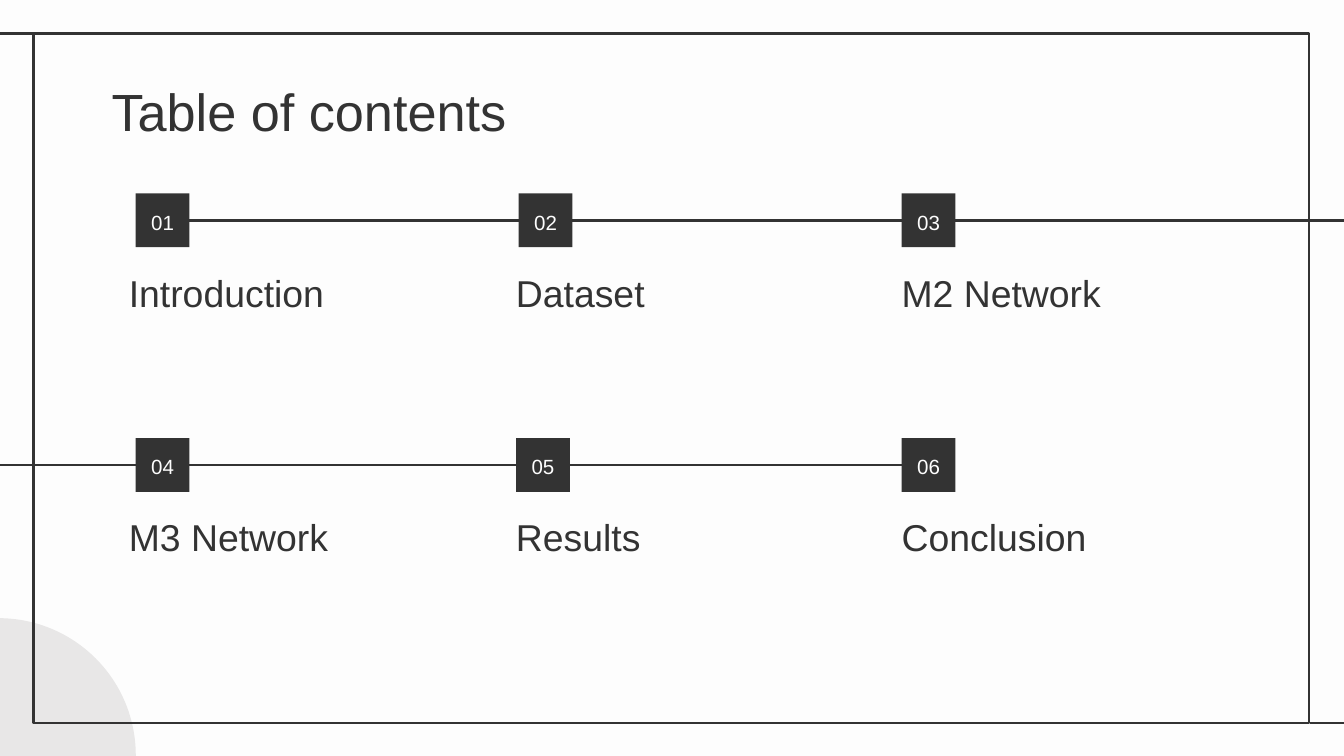
"""Build a table of contents slide with two rows of numbered sections."""
from lxml import etree
from pptx import Presentation
from pptx.dml.color import RGBColor
from pptx.enum.shapes import MSO_CONNECTOR, MSO_SHAPE
from pptx.enum.text import MSO_ANCHOR, MSO_AUTO_SIZE, PP_ALIGN
from pptx.oxml.ns import qn
from pptx.util import Inches, Pt

INK = RGBColor(0x33, 0x33, 0x33)
PAPER = RGBColor(0xFD, 0xFD, 0xFD)
MIST = RGBColor(0xE8, 0xE7, 0xE7)
RECTANGLE, OVAL = MSO_SHAPE.RECTANGLE, MSO_SHAPE.OVAL
STRAIGHT = MSO_CONNECTOR.STRAIGHT
LEFT, CENTER = PP_ALIGN.LEFT, PP_ALIGN.CENTER
TOP, MIDDLE, BOTTOM = MSO_ANCHOR.TOP, MSO_ANCHOR.MIDDLE, MSO_ANCHOR.BOTTOM
NO_AUTOFIT = MSO_AUTO_SIZE.NONE
LEFT_SIDE, RIGHT_SIDE = 1, 3
BADGE_SIZE = 0.4
LABEL_LEFTS = (0.86, 3.74, 6.61)
LABEL_HEIGHT, LABEL_DROP = 0.42, 0.58
SECTION_ROWS = (
    {"top": 1.44, "first": 1, "lefts": (1.01, 3.86, 6.71), "anchor": 0,
     "side": RIGHT_SIDE, "line_end": 10.17, "widths": (2.52, 2.52, 2.94),
     "names": ("Introduction", "Dataset", "M2 Network")},
    {"top": 3.26, "first": 4, "lefts": (1.01, 3.84, 6.71), "anchor": 2,
     "side": LEFT_SIDE, "line_end": -0.18, "widths": (2.52, 2.52, 2.52),
     "names": ("M3 Network", "Results", "Conclusion")},
)


def write_text(box, text, *, size, color=INK, align=LEFT, anchor=TOP, spacing=1.0):
    """Put one formatted paragraph into a box."""
    frame = box.text_frame
    frame.word_wrap = True
    frame.auto_size = NO_AUTOFIT
    frame.vertical_anchor = anchor
    frame.margin_left = frame.margin_right = Inches(0.1)
    frame.margin_top = frame.margin_bottom = Inches(0.1)
    para = frame.paragraphs[0]
    para.alignment = align
    para.line_spacing = spacing
    span = para.add_run()
    span.text = text
    span.font.name = "Arial"
    span.font.size = Pt(size)
    span.font.color.rgb = color


class ContentsPage:
    """Hold the line style and the current slide."""

    def __init__(self, page, line_width=1.5):
        """Set the slide and its background."""
        self.page = page
        self.line_width = Pt(line_width)
        page.background.fill.solid()
        page.background.fill.fore_color.rgb = PAPER

    def title(self, text, left, top, width, height):
        """Move and fill the title placeholder."""
        box = self.page.shapes.title
        box.left, box.top = Inches(left), Inches(top)
        box.width, box.height = Inches(width), Inches(height)
        write_text(box, text, size=28)

    def shape(self, kind, left, top, width, height, fill=None):
        """Add a filled shape, or an outlined one when no fill is given."""
        shape = self.page.shapes.add_shape(
            kind, Inches(left), Inches(top), Inches(width), Inches(height))
        shape.shadow.inherit = False
        if fill is None:
            shape.fill.background()
            shape.line.color.rgb = INK
            shape.line.width = self.line_width
        else:
            shape.fill.solid()
            shape.fill.fore_color.rgb = fill
            shape.line.fill.background()
        return shape

    def line(self, start_x, end_x, y):
        """Add a horizontal line."""
        line = self.page.shapes.add_connector(
            STRAIGHT, Inches(start_x), Inches(y), Inches(end_x), Inches(y))
        line.line.color.rgb = INK
        line.line.width = self.line_width
        etree.SubElement(line._element.spPr, qn("a:effectLst"))
        return line

    def badge(self, number, left, top):
        """Add a numbered square."""
        badge = self.shape(RECTANGLE, left, top, BADGE_SIZE, BADGE_SIZE, INK)
        write_text(badge, f"{number:02d}", size=11, color=PAPER,
                   align=CENTER, anchor=MIDDLE, spacing=1.15)
        return badge

    def label(self, text, left, top, width):
        """Add a section name."""
        box = self.page.shapes.add_textbox(
            Inches(left), Inches(top), Inches(width), Inches(LABEL_HEIGHT))
        write_text(box, text, size=20, anchor=BOTTOM, spacing=1.15)

    def section_row(self, top, first, lefts, anchor, side, line_end, widths, names):
        """Add badges and names along a line that starts at the anchor badge."""
        anchor_badge = self.badge(first + anchor, lefts[anchor], top)
        line = self.line(lefts[anchor], line_end, top + BADGE_SIZE / 2)
        line.begin_connect(anchor_badge, side)
        for index, name in enumerate(names):
            if index != anchor:
                self.badge(first + index, lefts[index], top)
            self.label(name, LABEL_LEFTS[index], top + LABEL_DROP, widths[index])


def main():
    """Build and save the deck."""
    deck = Presentation()
    deck.slide_width = Inches(10)
    deck.slide_height = deck.slide_width * 9 // 16
    contents = ContentsPage(deck.slides.add_slide(deck.slide_layouts[5]))
    contents.shape(OVAL, -1.03, 4.6, 2.04, 2.04, MIST)
    contents.shape(RECTANGLE, 0.25, 0.25, 9.49, 5.13)
    contents.line(0.26, -0.02, 0.25)
    contents.line(10.03, 9.75, 5.38)
    contents.title("Table of contents", 0.73, 0.49, 8.43, 0.63)
    for row in SECTION_ROWS:
        contents.section_row(**row)
    deck.save("out.pptx")


if __name__ == "__main__":
    main()
